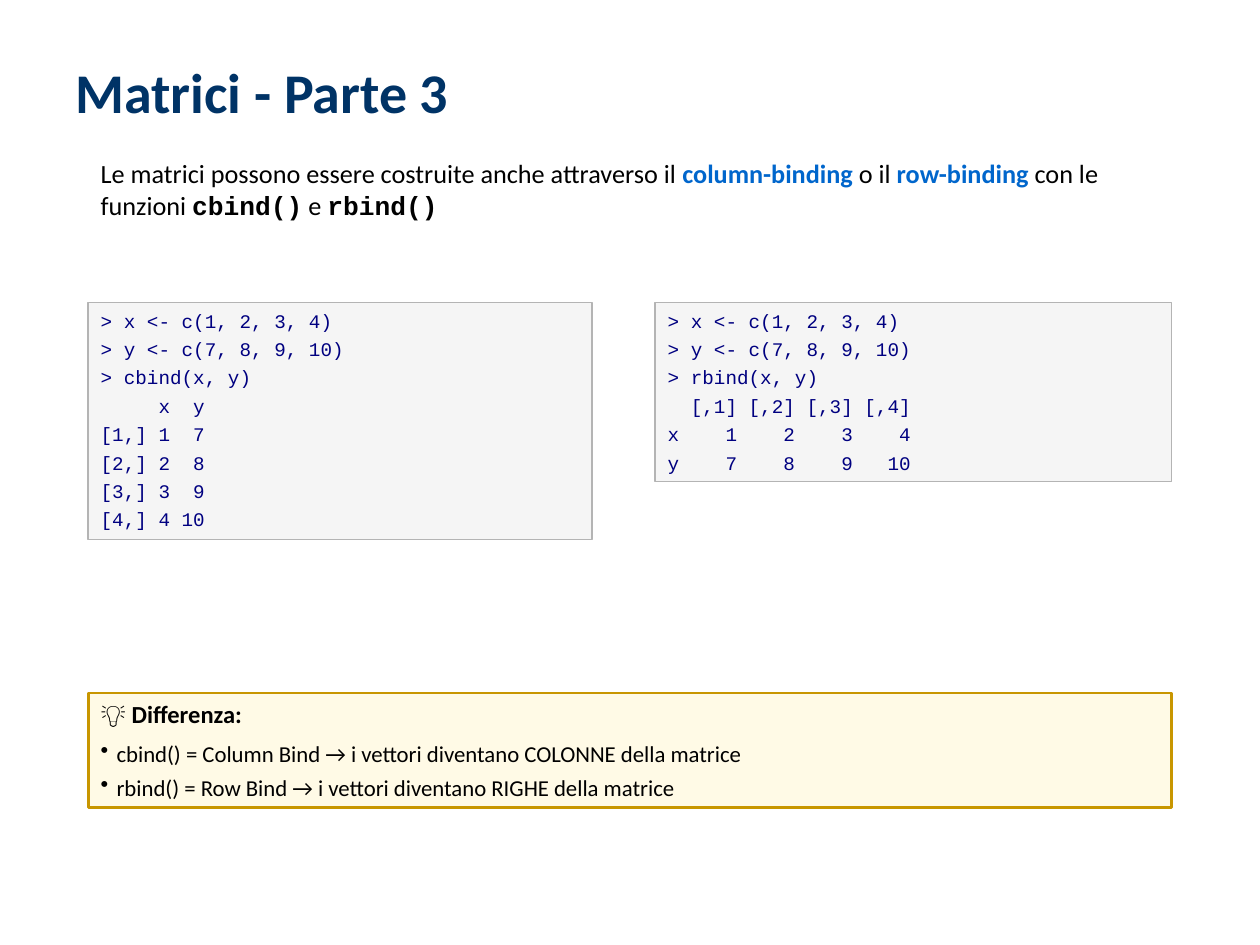
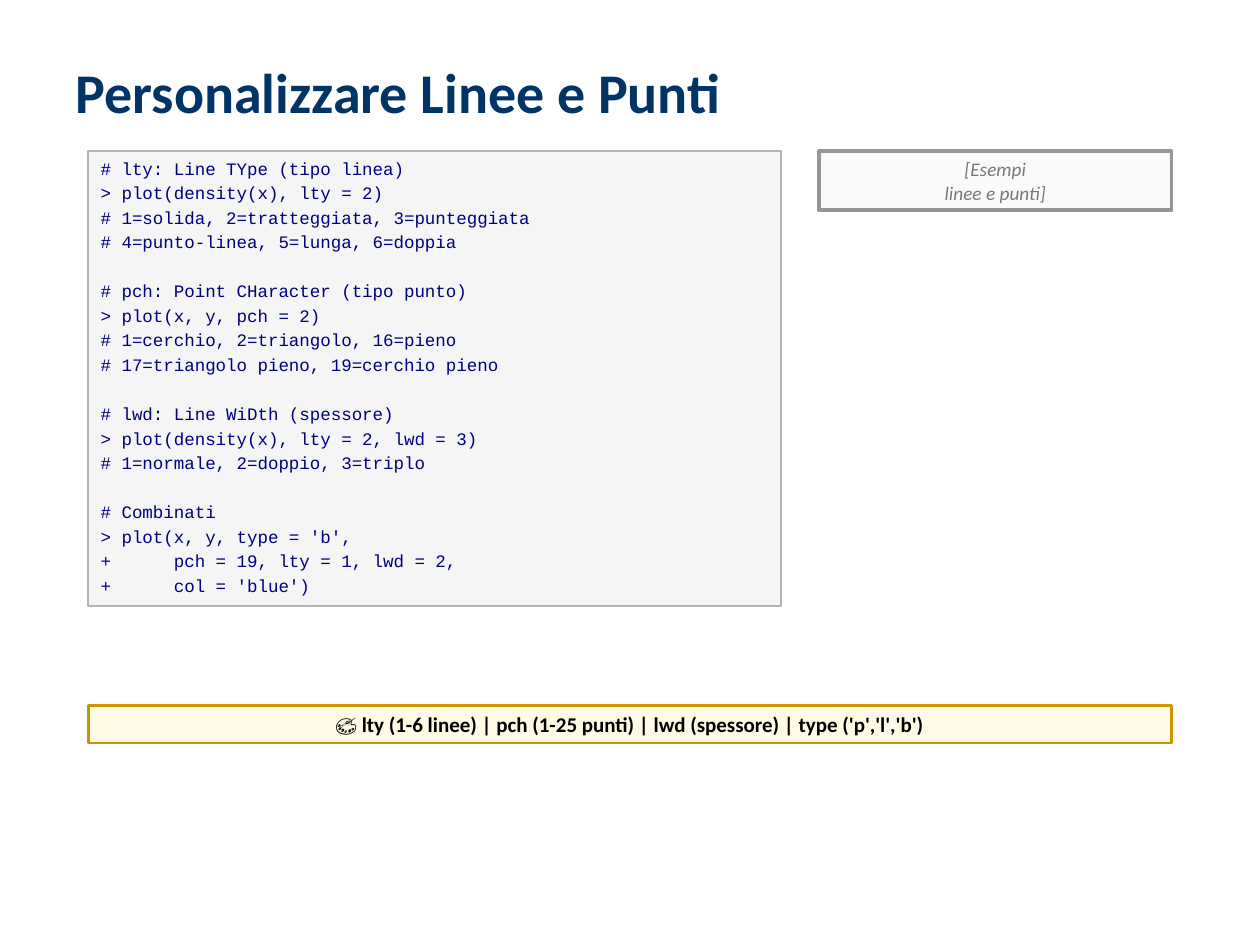
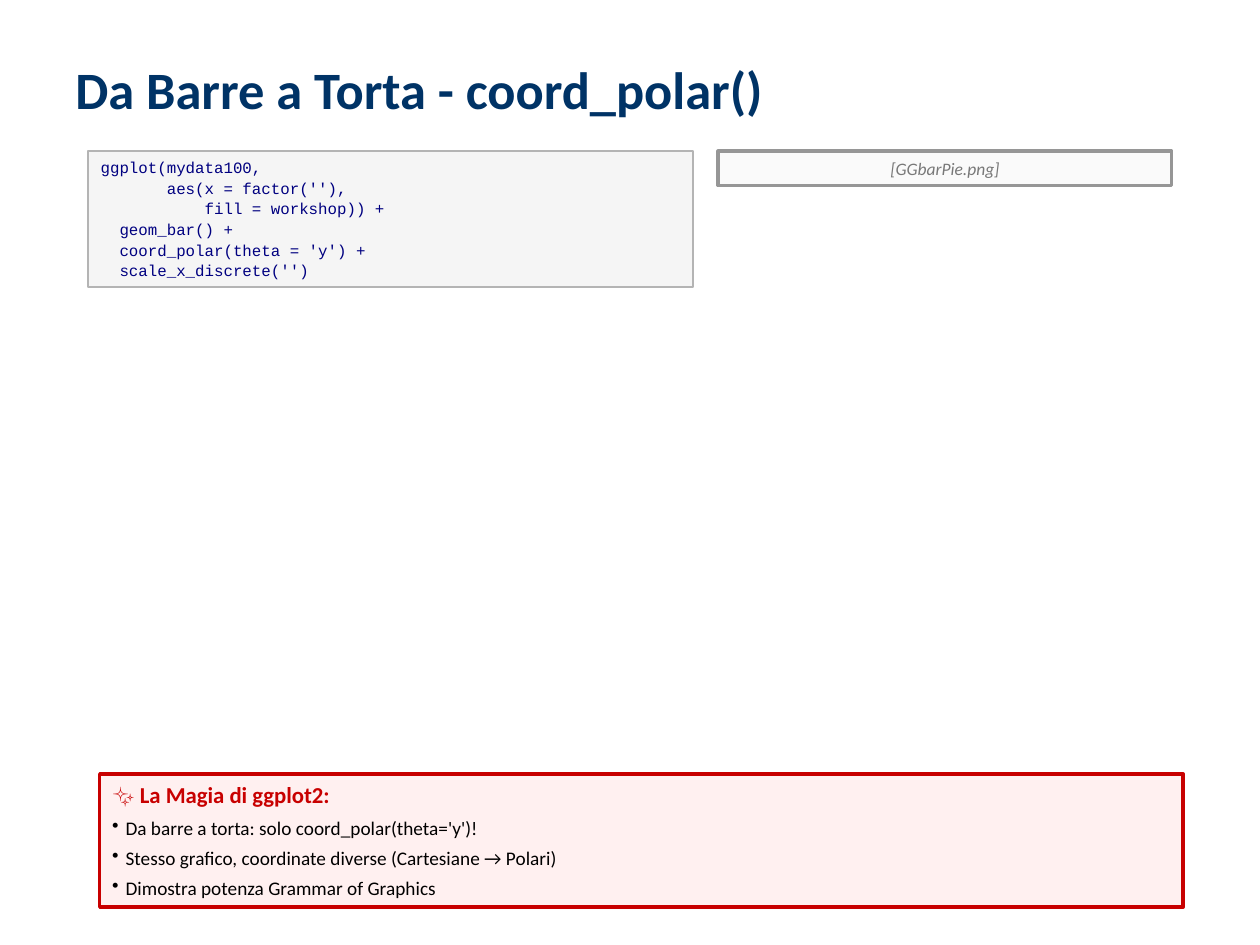
from lxml import etree
from pptx import Presentation
from pptx.dml.color import RGBColor
from pptx.enum.shapes import MSO_SHAPE
from pptx.enum.text import MSO_ANCHOR, MSO_AUTO_SIZE, PP_ALIGN
from pptx.oxml.ns import qn
from pptx.util import Cm, Pt

RECT = MSO_SHAPE.RECTANGLE
TOP = MSO_ANCHOR.TOP
GROW = MSO_AUTO_SIZE.SHAPE_TO_FIT_TEXT
LEFT, CENTER = PP_ALIGN.LEFT, PP_ALIGN.CENTER

INK = {
    "title": "003366", "text": "000000", "key": "0066CC", "code": "000080",
    "hint": "787878", "alert": "C80000",
}
# fill, line colour, line width
BOX = {
    "code": ("F5F5F5", "B4B4B4", 1),
    "hint": ("FAFAFA", "969696", 2),
    "note": ("FFFAE6", "C89600", 1.5),
    "alert": ("FFF0F0", "C80000", 2),
}
SANS, MONO = "Calibri", "Courier New"
EDGE, RIGHT = 1.78, 23.62
WIDE = RIGHT - EDGE
BODY = 3.05

BIND = """\
> x <- c(1, 2, 3, 4)
> y <- c(7, 8, 9, 10)
"""
COLS = BIND + """\
> cbind(x, y)
     x  y
[1,] 1  7
[2,] 2  8
[3,] 3  9
[4,] 4 10"""
ROWS = BIND + """\
> rbind(x, y)
  [,1] [,2] [,3] [,4]
x    1    2    3    4
y    7    8    9   10"""
LINES = """\
# lty: Line TYpe (tipo linea)
> plot(density(x), lty = 2)
# 1=solida, 2=tratteggiata, 3=punteggiata
# 4=punto-linea, 5=lunga, 6=doppia

# pch: Point CHaracter (tipo punto)
> plot(x, y, pch = 2)
# 1=cerchio, 2=triangolo, 16=pieno
# 17=triangolo pieno, 19=cerchio pieno

# lwd: Line WiDth (spessore)
> plot(density(x), lty = 2, lwd = 3)
# 1=normale, 2=doppio, 3=triplo

# Combinati
> plot(x, y, type = 'b',
+      pch = 19, lty = 1, lwd = 2,
+      col = 'blue')"""
POLAR = """\
ggplot(mydata100,
       aes(x = factor(''),
           fill = workshop)) +
  geom_bar() +
  coord_polar(theta = 'y') +
  scale_x_discrete('')"""


class Deck:
    def __init__(self):
        self.prs = Presentation()
        self.prs.slide_width, self.prs.slide_height = Cm(25.4), Cm(19.05)
        self.slide = None

    def page(self, title, size=32):
        self.slide = self.prs.slides.add_slide(self.prs.slide_layouts[6])
        frame = self.text(1.27, 1.02, 22.86, 1.63)
        self.para(frame, [(title, {"bold": True})], size, "title")

    def setup(self, frame):
        form = {
            "word_wrap": True, "auto_size": GROW, "vertical_anchor": TOP,
            "margin_left": Cm(0.25), "margin_right": Cm(0.25),
            "margin_top": Cm(0.13), "margin_bottom": Cm(0.13),
        }
        for name, value in form.items():
            setattr(frame, name, value)
        return frame

    def text(self, x, y, w, h):
        area = [Cm(n) for n in (x, y, w, h)]
        return self.setup(self.slide.shapes.add_textbox(*area).text_frame)

    def box(self, kind, x, y, w, h):
        fill, edge, width = BOX[kind]
        shape = self.slide.shapes.add_shape(RECT, *[Cm(n) for n in (x, y, w, h)])
        shape.shadow.inherit = False
        shape.fill.solid()
        shape.fill.fore_color.rgb = RGBColor.from_string(fill)
        shape.line.color.rgb = RGBColor.from_string(edge)
        shape.line.width = Pt(width)
        return self.setup(shape.text_frame)

    def para(self, frame, runs, size, ink="text", gap=0, align=LEFT, dot=False):
        """Add a paragraph of (text, format) runs; the first one has no gap."""
        para = frame.paragraphs[0]
        if para.runs:
            para = frame.add_paragraph()
            para.space_before = Pt(gap)
        para.alignment = align
        if dot:
            props = para._p.get_or_add_pPr()
            step = Pt(0.7 * size)
            props.set("marL", str(step))
            props.set("indent", str(-step))
            etree.SubElement(props, qn("a:buChar")).set("char", "•")
        for words, form in runs:
            run = para.add_run()
            run.text = words
            look = {"name": SANS, "bold": False, "size": Pt(size), "ink": ink, **form}
            run.font.color.rgb = RGBColor.from_string(INK[look.pop("ink")])
            for name, value in look.items():
                setattr(run.font, name, value)

    def code(self, source, size, gap, x, y, w, h):
        """Show code; an empty line becomes space above the next one."""
        frame = self.box("code", x, y, w, h)
        space = gap
        for line in source.split("\n"):
            if line:
                self.para(frame, [(line, {"name": MONO})], size, "code", space)
                space = gap
            else:
                space += 1.2 * size + gap

    def hint(self, lines, size, x, h):
        frame = self.box("hint", x, BODY, RIGHT - x, h)
        for line in lines:
            self.para(frame, [(line, {"italic": True})], size, "hint", align=CENTER)

    def note(self, head, size, y, h, x=EDGE, kind="note", ink="text", align=LEFT,
             items=(), small=0, first=0):
        frame = self.box(kind, x, y, WIDE, h)
        self.para(frame, [(head, {"bold": True})], size, ink, align=align)
        for index, item in enumerate(items):
            gap = 4 if index else first
            self.para(frame, [(item, {})], small, gap=gap, dot=True)


def main():
    deck = Deck()
    key = {"bold": True, "ink": "key"}
    func = {"bold": True, "name": MONO}

    deck.page("Matrici - Parte 3")
    deck.para(deck.text(EDGE, BODY, WIDE, 1.55), [
        ("Le matrici possono essere costruite anche attraverso il ", {}),
        ("column-binding", key), (" o il ", {}), ("row-binding", key),
        (" con le funzioni ", {}), ("cbind()", func), (" e ", {}), ("rbind()", func),
    ], 15)
    deck.code(COLS, 11, 3, EDGE, 6.1, 10.16, 4.78)
    deck.code(ROWS, 11, 3, 13.21, 6.1, RIGHT - 13.21, 3.61)
    deck.note("💡 Differenza:", 14, 13.97, 2.31, small=13, first=6, items=[
        "cbind() = Column Bind → i vettori diventano COLONNE della matrice",
        "rbind() = Row Bind → i vettori diventano RIGHE della matrice",
    ])

    deck.page("Personalizzare Linee e Punti")
    deck.code(LINES, 10, 2, EDGE, BODY, 13.97, 9.17)
    deck.hint(["[Esempi", "linee e punti]"], 11, 16.51, 1.19)
    deck.note(
        "🎨 lty (1-6 linee) | pch (1-25 punti) | lwd (spessore) | type ('p','l','b')",
        12, 14.22, 0.76, align=CENTER)

    deck.page("Da Barre a Torta - coord_polar()", 30)
    deck.code(POLAR, 9, 1, EDGE, BODY, 12.19, 2.74)
    deck.hint(["[GGbarPie.png]"], 10, 14.48, 0.69)
    deck.note("✨ La Magia di ggplot2:", 13, 15.6, 2.69, x=2.01, kind="alert",
              ink="alert", small=11, first=5, items=[
                  "Da barre a torta: solo coord_polar(theta='y')!",
                  "Stesso grafico, coordinate diverse (Cartesiane → Polari)",
                  "Dimostra potenza Grammar of Graphics",
              ])

    deck.prs.save("out.pptx")


if __name__ == "__main__":
    main()
